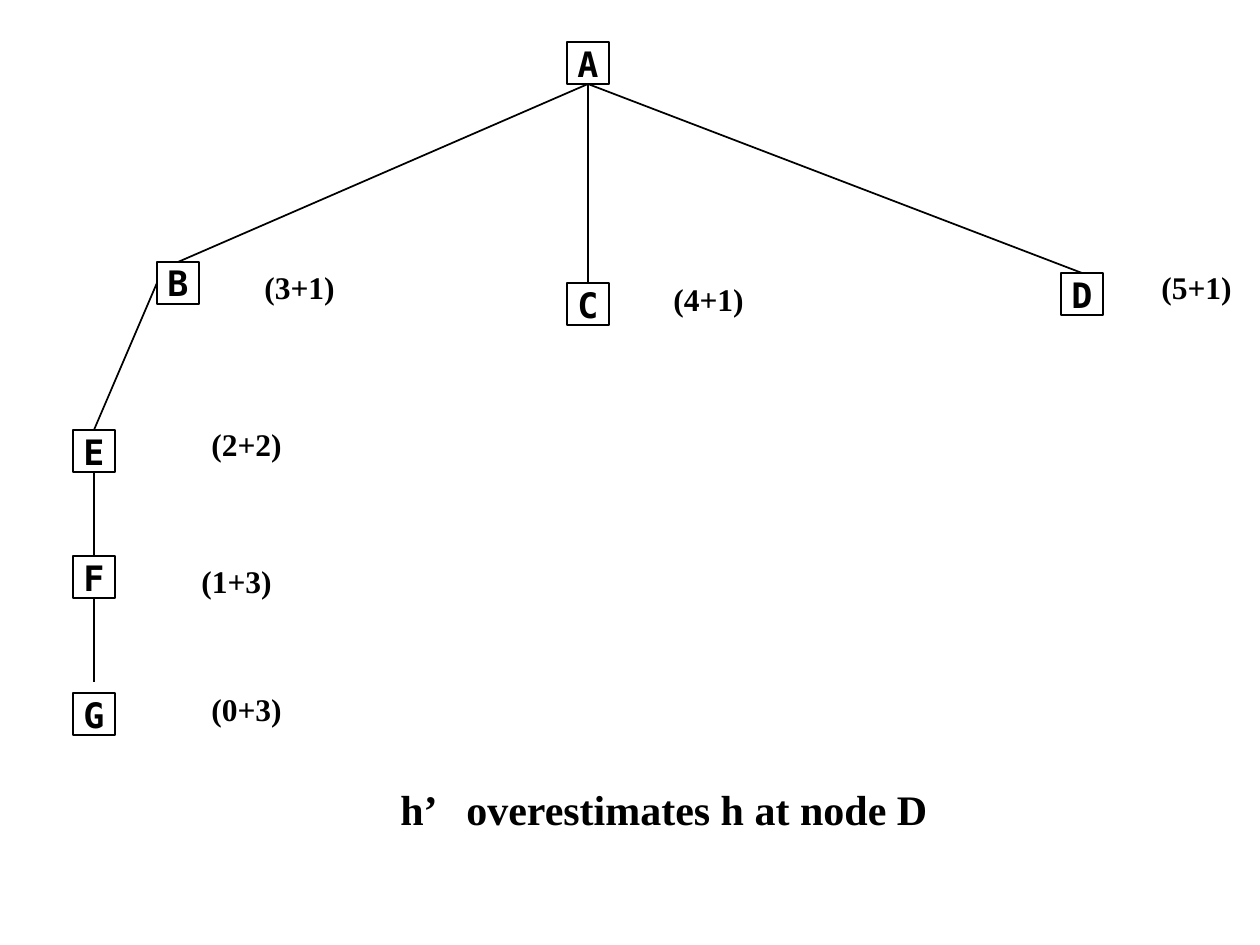
"""Build a search tree slide whose nodes carry their cost estimates."""
from lxml.etree import SubElement
from pptx import Presentation
from pptx.dml.color import RGBColor
from pptx.enum.shapes import MSO_CONNECTOR as CONNECTOR, MSO_SHAPE as SHAPE
from pptx.enum.text import MSO_ANCHOR as ANCHOR, PP_ALIGN as ALIGN
from pptx.oxml.ns import qn
from pptx.util import Pt

PX = 914400 // 126
COLORS = {"ink": "000000"}
NODE = 42
NODES = {
    "A": (567, 42), "B": (157, 262), "C": (567, 283), "D": (1061, 273),
    "E": (73, 430), "F": (73, 556), "G": (73, 693),
}
EDGES = [
    ("A", "bottom", "B", 0), ("A", "bottom", "C", 0), ("A", "bottom", "D", 0),
    ("B", "left", "E", 0), ("E", "bottom", "F", 0), ("F", "bottom", "G", 11),
]
COSTS = [
    ("(3+1)", 252, 262), ("(4+1)", 661, 274), ("(5+1)", 1149, 262),
    ("(2+2)", 199, 419), ("(1+3)", 189, 556), ("(0+3)", 199, 684),
]
COST_SIZE = (101, 50)
CAPTION = "h’\toverestimates h at node D"
CAPTION_AREA = (388, 777, 570, 63)
CAPTION_TAB = 66
NODE_FONT = {"name": "DejaVu Sans Mono", "size": Pt(20), "bold": True}
COST_FONT = {"name": "Times New Roman", "size": Pt(18), "bold": True}
CAPTION_FONT = {**COST_FONT, "size": Pt(24)}


def scaled(*lengths):
    return [length * PX for length in lengths]


def ink_line(line):
    line.color.rgb = RGBColor.from_string(COLORS["ink"])
    line.width = Pt(1)


def write(box, text, font):
    paragraph = box.text_frame.paragraphs[0]
    span = paragraph.add_run()
    span.text = text
    for name, value in font.items():
        setattr(span.font, name, value)
    span.font.color.rgb = RGBColor.from_string(COLORS["ink"])
    return paragraph


def add_node(page, name):
    box = page.shapes.add_shape(SHAPE.RECTANGLE, *scaled(*NODES[name], NODE, NODE))
    box.shadow.inherit = False
    box.fill.background()
    ink_line(box.line)
    box.text_frame.word_wrap = False
    box.text_frame.vertical_anchor = ANCHOR.MIDDLE
    write(box, name, NODE_FONT).alignment = ALIGN.CENTER


def port(name, side):
    left, top = NODES[name]
    across, down = {"top": (0.5, 0), "bottom": (0.5, 1), "left": (0, 0.5)}[side]
    return left + int(NODE * across), top + int(NODE * down)


def add_edge(page, parent, side, child, gap):
    end_x, end_y = port(child, "top")
    ends = scaled(*port(parent, side), end_x, end_y - gap)
    edge = page.shapes.add_connector(CONNECTOR.STRAIGHT, *ends)
    ink_line(edge.line)
    SubElement(edge.line._get_or_add_ln().getparent(), qn("a:effectLst"))


def add_label(page, text, area, font):
    box = page.shapes.add_textbox(*scaled(*area))
    box.text_frame.word_wrap = True
    return write(box, text, font)


def main():
    deck = Presentation()
    deck.slide_width, deck.slide_height = scaled(1260, 945)
    page = deck.slides.add_slide(deck.slide_layouts[6])
    for edge in EDGES:
        add_edge(page, *edge)
    for name in NODES:
        add_node(page, name)
    for text, left, top in COSTS:
        add_label(page, text, (left, top, *COST_SIZE), COST_FONT)
    caption = add_label(page, CAPTION, CAPTION_AREA, CAPTION_FONT)
    tabs = SubElement(caption._p.get_or_add_pPr(), qn("a:tabLst"))
    SubElement(tabs, qn("a:tab"), pos=str(CAPTION_TAB * PX), algn="l")
    deck.save("out.pptx")


if __name__ == "__main__":
    main()
